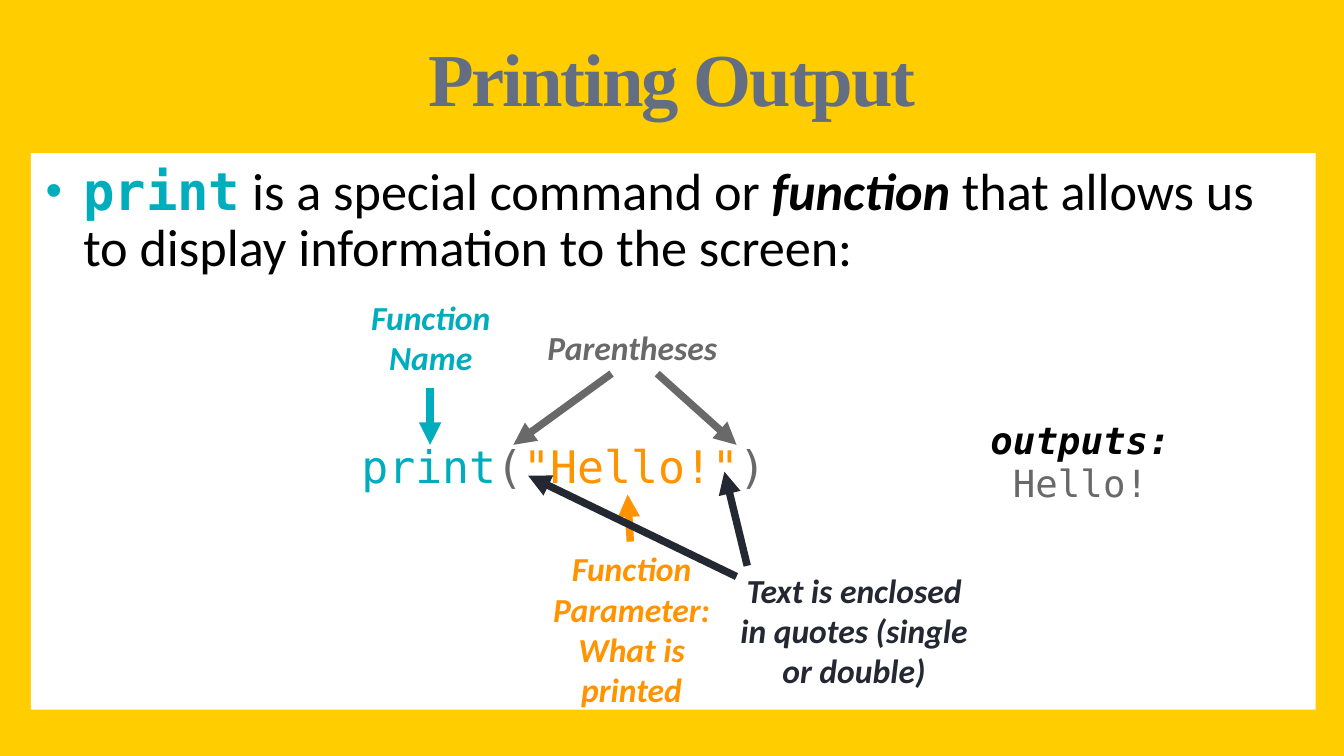
from dataclasses import dataclass

from lxml import etree
from pptx import Presentation
from pptx.dml.color import RGBColor
from pptx.enum import shapes, text
from pptx.oxml.ns import qn
from pptx.util import Inches, Pt


@dataclass(frozen=True)
class Theme:
    yellow: str = "FFCD00"
    white: str = "FFFFFF"
    black: str = "000000"
    slate: str = "646E82"
    teal: str = "00ADBC"
    gray: str = "696969"
    orange: str = "FF9300"
    navy: str = "232832"
    title_font: str = "Times New Roman"
    body_font: str = "Calibri"
    code_font: str = "DejaVu Sans Mono"
    title_size: int = 40
    body_size: int = 28
    code_size: int = 24
    output_size: int = 20
    label_size: int = 18
    arrow_width: int = 4


THEME = Theme()


def fill_solid(fill, color):
    fill.solid()
    fill.fore_color.rgb = RGBColor.from_string(color)


def add_panel(slide, *box):
    panel = slide.shapes.add_shape(shapes.MSO_SHAPE.RECTANGLE, *map(Inches, box))
    panel.shadow.inherit = False
    fill_solid(panel.fill, THEME.white)
    panel.line.fill.background()


def add_text_frame(slide, box, margins=(0.1, 0.05)):
    frame = slide.shapes.add_textbox(*map(Inches, box)).text_frame
    frame.word_wrap = True
    frame.margin_left = frame.margin_right = Inches(margins[0])
    frame.margin_top = frame.margin_bottom = Inches(margins[1])
    return frame


def add_run(paragraph, content, font, size, color, bold=False, italic=False):
    run = paragraph.add_run()
    run.text = content
    run.font.name = font
    run.font.size = Pt(size)
    run.font.bold = bold
    run.font.italic = italic
    run.font.color.rgb = RGBColor.from_string(color)
    return run


def set_hanging(paragraph, indent, line_spacing, size):
    """Hang the first line; the space before is a fifth of the type size."""
    properties = paragraph._p.get_or_add_pPr()
    properties.set("marL", str(Inches(indent)))
    properties.set("indent", str(-Inches(indent)))
    paragraph.line_spacing = line_spacing
    paragraph.space_before = Pt(size * 0.2)


def add_bullet(paragraph, color):
    properties = paragraph._p.get_or_add_pPr()
    bullet_color = etree.SubElement(properties, qn("a:buClr"))
    etree.SubElement(bullet_color, qn("a:srgbClr"), val=color)
    etree.SubElement(properties, qn("a:buSzPct"), val="90000")
    etree.SubElement(properties, qn("a:buFont"), typeface="Arial")
    etree.SubElement(properties, qn("a:buChar"), char="•")


def add_title(slide, content):
    frame = add_text_frame(slide, (0.22, 0.24, 9.56, 0.74), (0.12, 0.07))
    frame.vertical_anchor = text.MSO_ANCHOR.MIDDLE
    paragraph = frame.paragraphs[0]
    paragraph.alignment = text.PP_ALIGN.CENTER
    paragraph.line_spacing = 0.9
    run = add_run(paragraph, content, THEME.title_font, THEME.title_size,
                  THEME.slate, bold=True)
    run.font._element.set("spc", "-110")


def add_definition(slide):
    frame = add_text_frame(slide, (0.22, 1.16, 9.56, 1), (0.12, 0.07))
    paragraph = frame.paragraphs[0]
    set_hanging(paragraph, 0.28, 0.9, THEME.body_size)
    add_bullet(paragraph, THEME.teal)
    add_run(paragraph, "print", THEME.code_font, THEME.body_size, THEME.teal, bold=True)
    for content, emphasis in (
        (" is a special command or ", False),
        ("function", True),
        (" that allows us to display information to the screen:", False),
    ):
        add_run(paragraph, content, THEME.body_font, THEME.body_size, THEME.black,
                bold=emphasis, italic=emphasis)


def add_code(slide):
    paragraph = add_text_frame(slide, (2.59, 3.29, 4.79, 1)).paragraphs[0]
    set_hanging(paragraph, 0.43, 0.8, THEME.code_size)
    for content, color in (
        ("print", THEME.teal),
        ("(", THEME.gray),
        ('"Hello!"', THEME.orange),
        (")", THEME.gray),
    ):
        add_run(paragraph, content, THEME.code_font, THEME.code_size, color)


def add_output(slide):
    frame = add_text_frame(slide, (6.94, 3.12, 2.2, 0.78))
    heading, result = frame.paragraphs[0], frame.add_paragraph()
    for paragraph in (heading, result):
        paragraph.alignment = text.PP_ALIGN.CENTER
        set_hanging(paragraph, 0.43, 0.8, THEME.output_size)
    add_run(heading, "outputs:", THEME.code_font, THEME.output_size, THEME.black,
            bold=True, italic=True)
    add_run(result, "Hello!", THEME.code_font, THEME.output_size, THEME.gray)


def add_arrow(slide, start, end, color):
    arrow = slide.shapes.add_connector(
        shapes.MSO_CONNECTOR.STRAIGHT, *map(Inches, (*start, *end)))
    arrow.line.width = Pt(THEME.arrow_width)
    arrow.line.color.rgb = RGBColor.from_string(color)
    etree.SubElement(arrow.line._get_or_add_ln(), qn("a:tailEnd"), type="triangle")
    etree.SubElement(arrow._element.spPr, qn("a:effectLst"))


def add_callout(slide, content, box, color, arrows):
    """Add a label and the arrows that lead from it to the code."""
    paragraph = add_text_frame(slide, box).paragraphs[0]
    paragraph.alignment = text.PP_ALIGN.CENTER
    add_run(paragraph, content, THEME.body_font, THEME.label_size, color,
            bold=True, italic=True)
    for start, end in arrows:
        add_arrow(slide, start, end, color)


def main():
    presentation = Presentation()
    presentation.slide_width = Inches(10)
    presentation.slide_height = presentation.slide_width * 9 // 16
    slide = presentation.slides.add_slide(presentation.slide_layouts[6])
    fill_solid(slide.background.fill, THEME.yellow)

    add_panel(slide, 0.23, 1.14, 9.56, 4.14)
    add_title(slide, "Printing Output")
    add_definition(slide)
    add_code(slide)
    add_callout(slide, "Function Name", (2.48, 2.16, 1.45, 0.71), THEME.teal,
                [((3.2, 2.89), (3.2, 3.31))])
    add_callout(slide, "Function Parameter: What is printed",
                (3.88, 4.03, 1.64, 1.31), THEME.orange,
                [((4.69, 4.03), (4.67, 3.68))])
    add_callout(slide, "Parentheses", (3.93, 2.38, 1.55, 0.4), THEME.gray,
                [((4.55, 2.78), (3.82, 3.31)), ((4.89, 2.78), (5.48, 3.31))])
    add_output(slide)
    add_callout(slide, "Text is enclosed in quotes (single or double)",
                (5.34, 4.19, 2.03, 1.01), THEME.navy,
                [((5.48, 4.29), (3.93, 3.54)), ((5.56, 4.21), (5.39, 3.51))])
    presentation.save("out.pptx")


if __name__ == "__main__":
    main()
